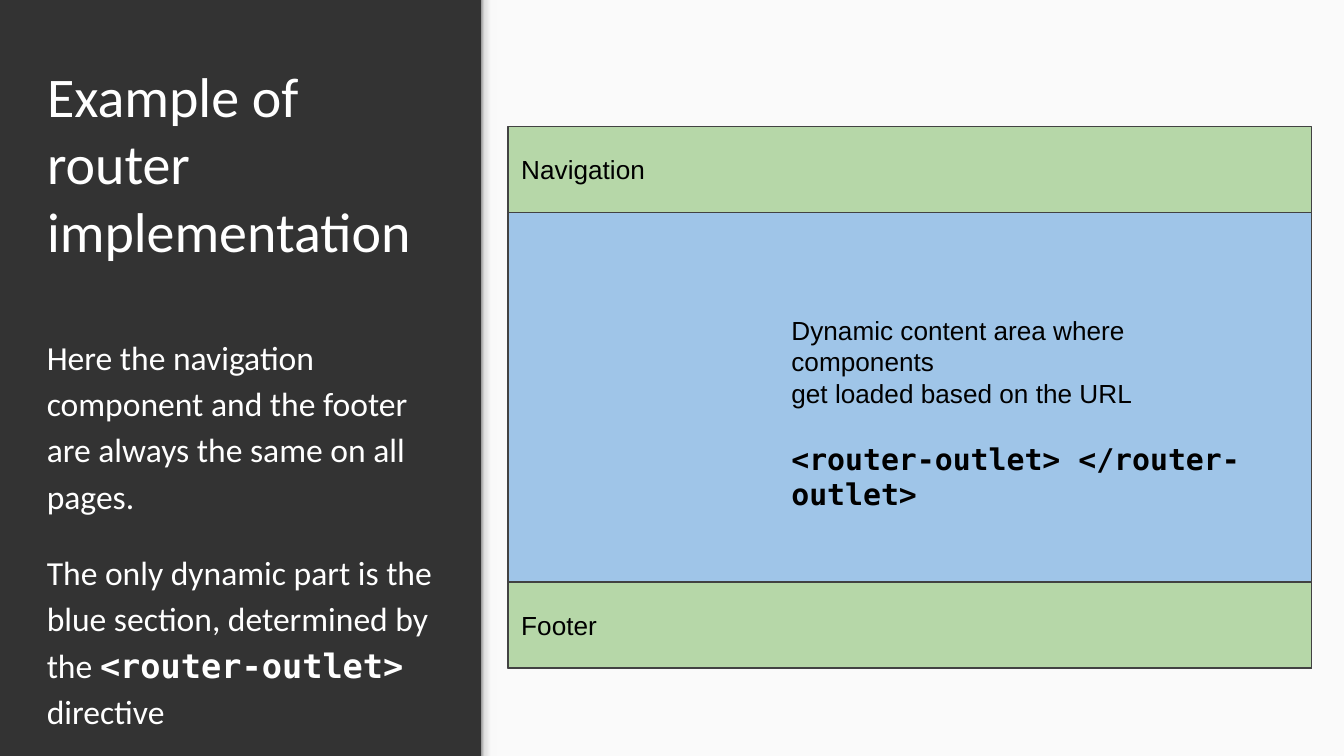
from copy import deepcopy

from pptx import Presentation
from pptx.dml.color import RGBColor
from pptx.enum.shapes import MSO_SHAPE
from pptx.enum.text import MSO_ANCHOR, MSO_AUTO_SIZE, PP_ALIGN
from pptx.oxml.ns import qn
from pptx.util import Inches, Pt

RECTANGLE = MSO_SHAPE.RECTANGLE
TOP, MIDDLE, BOTTOM = MSO_ANCHOR.TOP, MSO_ANCHOR.MIDDLE, MSO_ANCHOR.BOTTOM
LEFT = PP_ALIGN.LEFT
NO_AUTOFIT = MSO_AUTO_SIZE.NONE

DARK = RGBColor(0x33, 0x33, 0x33)
PAPER = RGBColor(0xFA, 0xFA, 0xFA)
WHITE = RGBColor(0xFF, 0xFF, 0xFF)
BLACK = RGBColor(0, 0, 0)
BLUE = RGBColor(0x9F, 0xC5, 0xE8)
GREEN = RGBColor(0xB6, 0xD7, 0xA8)
OUTLINE = RGBColor(0x42, 0x42, 0x42)
SHADE_STOPS = [
    (0, RGBColor(0x99, 0x99, 0x99)),
    (0.2, RGBColor(0xDE, 0xDE, 0xDE)),
    (0.64, RGBColor(0xF9, 0xF9, 0xF9)),
]

SANS, BODY, MONO = "Arial", "Calibri", "DejaVu Sans Mono"
PAGE_WIDTH = 10
PAGE_HEIGHT = PAGE_WIDTH * 9 / 16
PANEL_WIDTH = 3.58


def set_frame(shape, anchor=TOP):
    frame = shape.text_frame
    frame.word_wrap = True
    frame.auto_size = NO_AUTOFIT
    frame.vertical_anchor = anchor
    frame.margin_left = frame.margin_right = Inches(0.1)
    frame.margin_top = frame.margin_bottom = Inches(0.1)
    return frame


def add_span(para, text, *, size, font, color, bold=False):
    span = para.add_run()
    span.text = text
    span.font.size = Pt(size)
    span.font.name = font
    span.font.bold = bold
    span.font.color.rgb = color


def format_para(para, *, before=0, spacing=1.0):
    para.alignment = LEFT
    para.space_before = Pt(before)
    para.line_spacing = spacing
    return para


def add_text_box(page, left, top, width, height):
    box = page.shapes.add_textbox(
        Inches(left), Inches(top), Inches(width), Inches(height))
    return set_frame(box)


def add_rectangle(page, left, top, width, height, fill=None, outline=None):
    box = page.shapes.add_shape(
        RECTANGLE, Inches(left), Inches(top), Inches(width), Inches(height))
    box.shadow.inherit = False
    if fill is not None:
        box.fill.solid()
        box.fill.fore_color.rgb = fill
    if outline is None:
        box.line.fill.background()
    else:
        box.line.color.rgb = outline
        box.line.width = Pt(0.75)
    return box


def add_backdrop(page, left, top, width, height):
    page.background.fill.solid()
    page.background.fill.fore_color.rgb = DARK
    add_rectangle(page, left, top, width, height, PAPER)
    shade = add_rectangle(page, left, top, 0.12, height)
    shade.fill.gradient()
    shade.fill.gradient_angle = 0
    stop_list = shade._element.spPr.find(qn("a:gradFill")).find(qn("a:gsLst"))
    stop_list.append(deepcopy(stop_list[0]))
    for stop, (position, color) in zip(shade.fill.gradient_stops, SHADE_STOPS):
        stop.position = position
        stop.color.rgb = color


def add_explanation(page, left, top, width, height):
    title = page.shapes.title
    title.left, title.top = Inches(left), Inches(top)
    title.width, title.height = Inches(width), Inches(1.67)
    para = format_para(set_frame(title, BOTTOM).paragraphs[0])
    add_span(para, "Example of router implementation",
             size=30, font=BODY, color=WHITE)

    body_offset = 1.97
    frame = add_text_box(
        page, left, top + body_offset, width, height - body_offset)
    style = dict(size=18, color=WHITE)
    para = format_para(frame.paragraphs[0], spacing=1.15)
    add_span(para, "Here the navigation component and the footer are always "
             "the same on all pages.", font=BODY, **style)
    para = format_para(frame.add_paragraph(), before=16, spacing=1.15)
    add_span(para, "The only dynamic part is the blue section, determined by the ",
             font=BODY, **style)
    add_span(para, "<router-outlet> ", font=MONO, bold=True, **style)
    add_span(para, "directive", font=BODY, **style)


def add_page_layout(page, left, top, width, height):
    bar_height = 0.64
    content_offset = 0.28
    add_rectangle(page, left, top + content_offset, width,
                  height - content_offset, BLUE, OUTLINE)
    for label, bar_top in [("Navigation", top),
                           ("Footer", top + height - bar_height)]:
        bar = add_rectangle(page, left, bar_top, width, bar_height, GREEN, OUTLINE)
        para = format_para(set_frame(bar, MIDDLE).paragraphs[0])
        add_span(para, label, size=14, font=SANS, color=BLACK)

    frame = add_text_box(page, left + 2.01, top + 1.3, 3.62, 1.24)
    para = format_para(frame.paragraphs[0])
    add_span(para, "Dynamic content area where components",
             size=14, font=SANS, color=BLACK)
    para = format_para(frame.add_paragraph())
    add_span(para, "get loaded based on the URL",
             size=14, font=SANS, color=BLACK)
    para = format_para(frame.add_paragraph(), before=17)
    add_span(para, "<router-outlet> </router-outlet>",
             size=16, font=MONO, color=BLACK, bold=True)


def main():
    deck = Presentation()
    deck.slide_width, deck.slide_height = Inches(PAGE_WIDTH), Inches(PAGE_HEIGHT)
    page = deck.slides.add_slide(deck.slide_layouts.get_by_name("Title Only"))
    add_backdrop(page, PANEL_WIDTH, 0, PAGE_WIDTH - PANEL_WIDTH, PAGE_HEIGHT)
    add_explanation(page, 0.25, 0.39, 3.07, 5.13)
    add_page_layout(page, 3.78, 0.94, 5.98, 4.03)
    deck.save("out.pptx")


if __name__ == "__main__":
    main()
